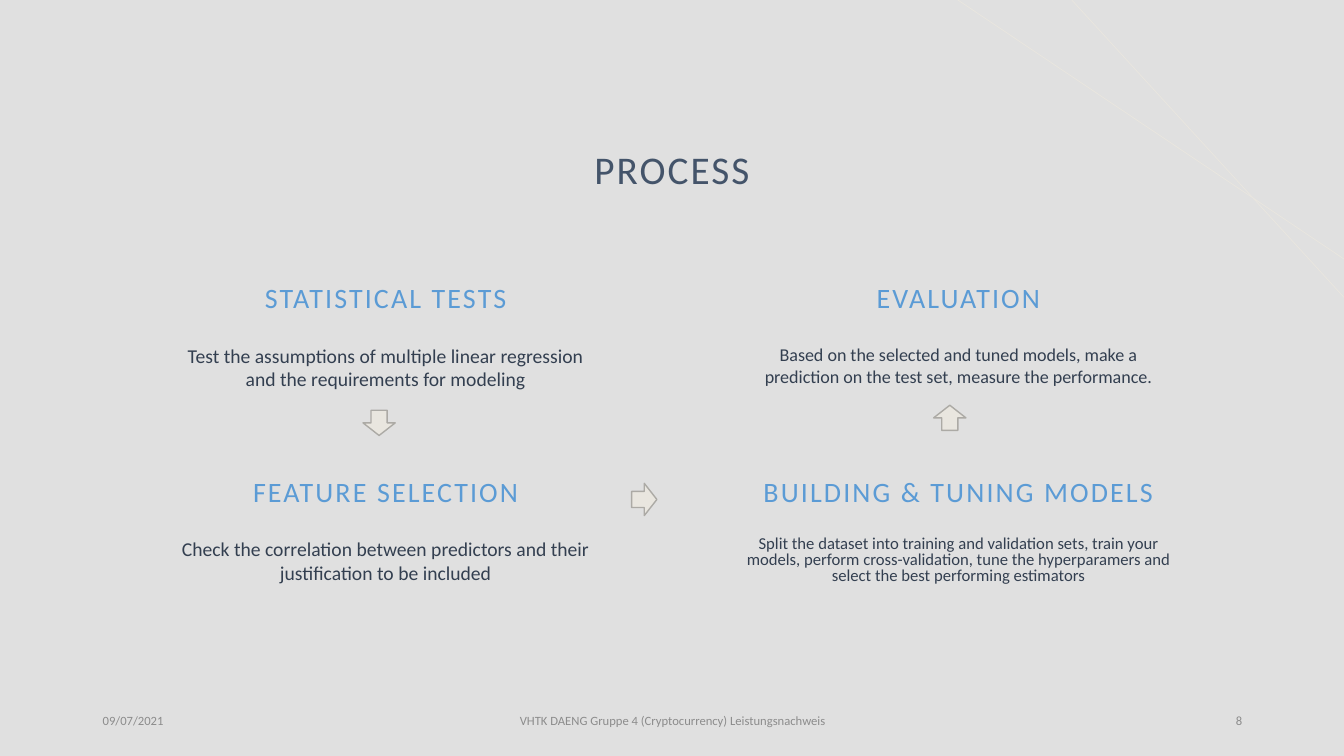
import pptx
import pptx.dml.color
import pptx.enum.shapes
import pptx.enum.text
import pptx.oxml.ns
import pptx.util
from lxml import etree

Inches = pptx.util.Inches
Pt = pptx.util.Pt
RGBColor = pptx.dml.color.RGBColor
ALIGN = pptx.enum.text.PP_ALIGN
ANCHOR = pptx.enum.text.MSO_ANCHOR

BACKGROUND = RGBColor(0xE0, 0xE0, 0xE0)
NAVY = RGBColor(0x44, 0x54, 0x6A)
BLUE = RGBColor(0x5B, 0x9B, 0xD5)
DARK = RGBColor(0x33, 0x3F, 0x50)
GREY = RGBColor(0x8C, 0x8C, 0x8C)
SAND = RGBColor(0xE9, 0xE6, 0xDF)
SAND_EDGE = RGBColor(0xAC, 0xAA, 0xA5)

COLUMNS = (1.62, 7.3)
ROWS = (2.8, 4.72)
STEP_WIDTH = 4.41
STEPS = [
    (0, 0, "STATISTICAL TESTS",
     "Test the assumptions of multiple linear regression and the requirements for modeling",
     14, 1),
    (1, 0, "EVALUATION",
     "Based on the selected and tuned models, make a prediction on the test set, "
     "measure the performance.", 12.9, 1),
    (0, 1, "FEATURE SELECTION",
     "Check the correlation between predictors and their justification to be included",
     14, 1),
    (1, 1, "BUILDING & TUNING MODELS",
     "Split the dataset into training and validation sets, train your models, perform "
     "cross-validation, tune the hyperparamers and select the best performing estimators",
     11.9, 0.8),
]
ARROWS = [(3.6, 4.07, 0), (6.23, 4.83, 270), (9.26, 4.02, 180)]


def write_text(shape, text, size, color, align=ALIGN.CENTER, anchor=ANCHOR.TOP,
               line_spacing=1, space_before=0, tracking=0):
    frame = shape.text_frame
    frame.word_wrap = True
    frame.auto_size = pptx.enum.text.MSO_AUTO_SIZE.NONE
    frame.vertical_anchor = anchor
    paragraph = frame.paragraphs[0]
    paragraph.alignment = align
    paragraph.line_spacing = line_spacing
    paragraph.space_before = Pt(space_before)
    run = paragraph.add_run()
    run.text = text
    run.font.name = "Calibri"
    run.font.size = Pt(size)
    run.font.color.rgb = color
    if tracking:
        run._r.get_or_add_rPr().set("spc", str(round(tracking * 100)))


def add_text(slide, left, top, width, height, text, **text_format):
    shape = slide.shapes.add_textbox(
        Inches(left), Inches(top), Inches(width), Inches(height))
    write_text(shape, text, **text_format)


def add_background(slide, width):
    slide.background.fill.solid()
    slide.background.fill.fore_color.rgb = BACKGROUND
    for start, drop in ((9.5, 2.57), (10.63, 2.95)):
        line = slide.shapes.add_connector(
            pptx.enum.shapes.MSO_CONNECTOR.STRAIGHT,
            Inches(start), Inches(0), Inches(width), Inches(drop))
        line.line.color.rgb = SAND
        line.line.width = Pt(0.5)
        etree.SubElement(line._element.spPr, pptx.oxml.ns.qn("a:effectLst"))


def add_title(slide, left, top, width, height):
    title = slide.shapes.title
    title.left, title.top = Inches(left), Inches(top)
    title.width, title.height = Inches(width), Inches(height)
    write_text(title, "PROCESS", size=28, color=NAVY, anchor=ANCHOR.MIDDLE,
               line_spacing=0.9, tracking=1.5)


def add_step(slide, left, top, width, heading, description, size, line_spacing):
    add_text(slide, left, top, width, 0.4, heading, size=20, color=BLUE,
             line_spacing=0.8, space_before=10, tracking=1.5)
    add_text(slide, left, top + 0.56, width, 0.6, description, size=size, color=DARK,
             line_spacing=line_spacing, space_before=10)


def add_arrow(slide, left, top, rotation):
    arrow = slide.shapes.add_shape(
        pptx.enum.shapes.MSO_SHAPE.DOWN_ARROW,
        Inches(left), Inches(top), Inches(0.32), Inches(0.25))
    arrow.rotation = rotation
    arrow.shadow.inherit = False
    arrow.fill.solid()
    arrow.fill.fore_color.rgb = SAND
    arrow.line.color.rgb = SAND_EDGE
    arrow.line.width = Pt(1)


def add_footer(slide, left, top, width, height):
    side, middle = 3, 4.5
    parts = [
        (left, side, "09/07/2021", ALIGN.LEFT),
        (left + (width - middle) / 2, middle,
         "VHTK DAENG Gruppe 4 (Cryptocurrency) Leistungsnachweis", ALIGN.CENTER),
        (left + width - side, side, "8", ALIGN.RIGHT),
    ]
    for part_left, part_width, text, align in parts:
        add_text(slide, part_left, top, part_width, height, text, size=9, color=GREY,
                 align=align, anchor=ANCHOR.MIDDLE)


def main():
    presentation = pptx.Presentation()
    presentation.slide_width = Inches(13.33)
    presentation.slide_height = Inches(7.5)
    slide = presentation.slides.add_slide(presentation.slide_layouts[5])
    add_background(slide, 13.33)
    add_title(slide, 2.06, 0.98, 9.21, 1.45)
    for column, row, heading, description, size, line_spacing in STEPS:
        add_step(slide, COLUMNS[column], ROWS[row], STEP_WIDTH,
                 heading, description, size, line_spacing)
    add_footer(slide, 0.92, 6.95, 11.5, 0.4)
    for left, top, rotation in ARROWS:
        add_arrow(slide, left, top, rotation)
    presentation.save("out.pptx")


if __name__ == "__main__":
    main()
